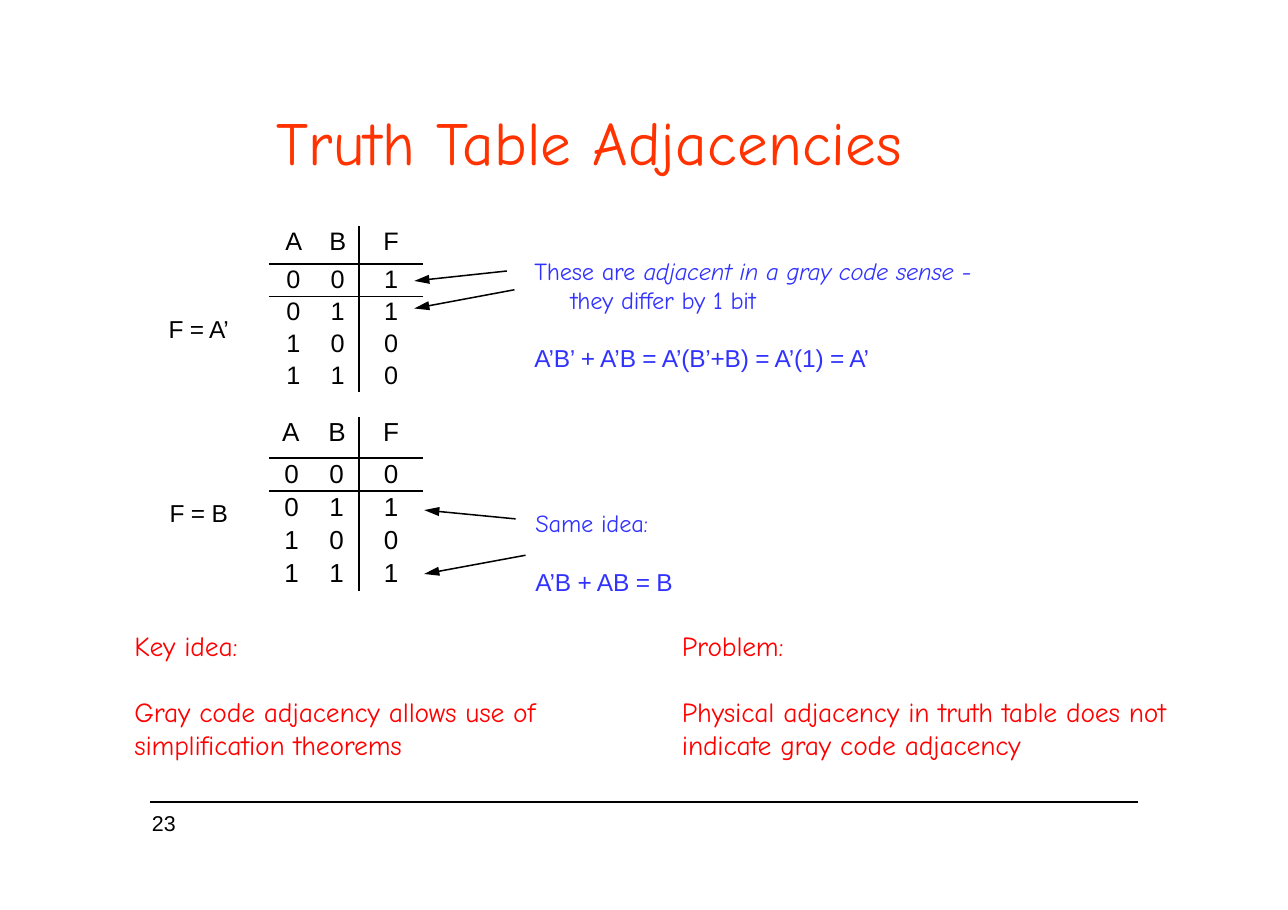
from lxml import etree
from pptx import Presentation
from pptx.dml.color import RGBColor
from pptx.enum.shapes import MSO_CONNECTOR
from pptx.enum.text import MSO_ANCHOR, PP_ALIGN
from pptx.oxml.ns import qn
from pptx.util import Inches, Pt

COLORS = {"title": "FF3200", "note": "3232FF", "key": "FF0000", "ink": "000000"}
SANS, HAND = "Arial", "Comic Neue"

# Content
TITLE = "Truth Table Adjacencies"
HEADER = ["A", "B", "F"]
INPUTS = ["00", "01", "10", "11"]
# outputs, text size, line spacing (header, body), indents (header, body), header rule widths
TRUTH_TABLES = [
    ("1100", 16.5, (19.8, 19.35), ((0.15, 0.13), (0.16, 0.14)), (1.5, 0.75)),
    ("0101", 17, (None, 20.1), ((0.12, 0.12), (0.14, 0.13)), (1.5, 1.5)),
]
COL_WIDTHS = [0.42, 0.4, 0.58]
ROW_HEIGHTS = [0.35] + [0.29] * 4 + [0.23, 0.37] + [0.3] * 3 + [0.31]

SMALL = {"size": 16, "spc": -0.1, "top": 0.02}
NOTE = dict(SMALL, color="note")
KEY = {"size": 18, "spc": -0.1, "top": 0.02, "font": HAND, "color": "key", "gap": 21.7}
# box (left, top, width, height), paragraphs as lists of (text, italic), format
TEXTS = [
    ((1.52, 2.83, 0.8, 0.29), [[("F = A’", False)]], SMALL),
    ((1.53, 4.5, 0.8, 0.29), [[("F = B", False)]], SMALL),
    ((4.84, 2.28, 4.5, 0.57),
     [[("These are ", False), ("adjacent in a gray code sense -", True)],
      [("they differ by 1 bit", False)]],
     dict(NOTE, font=HAND, line=19.4, top=0.04, indent=0.33)),
    ((4.84, 3.09, 3.5, 0.29), [[("A’B’ + A’B = A’(B’+B) = A’(1) = A’", False)]], NOTE),
    ((4.85, 4.59, 1.4, 0.29), [[("Same idea:", False)]], dict(NOTE, font=HAND)),
    ((4.85, 5.13, 1.6, 0.29), [[("A’B + AB = B", False)]], NOTE),
    ((1.21, 5.69, 3.99, 1.23),
     [[("Key idea:", False)],
      [("Gray code adjacency allows use of simplification theorems", False)]], KEY),
    ((6.18, 5.69, 4.45, 1.23),
     [[("Problem:", False)],
      [("Physical adjacency in truth table does not indicate gray code adjacency", False)]],
     KEY),
    ((1.35, 7.36, 0.4, 0.25), [[("23", False)]], {"size": 14, "line": 16.5, "left": 0.03}),
]
ARROWS = [
    (4.6, 2.46, 3.76, 2.55), (4.67, 2.63, 3.76, 2.8),
    (4.68, 4.71, 3.85, 4.63), (4.77, 5.04, 3.85, 5.21),
]
FOOT_RULE = (1.36, 7.28, 10.33, 7.28)


def style_run(r, size, font=SANS, color="ink", spc=0, italic=False):
    for name, value in {"size": Pt(size), "name": font, "italic": italic}.items():
        setattr(r.font, name, value)
    r.font.color.rgb = RGBColor.from_string(COLORS[color])
    if spc:
        r.font._element.set("spc", str(round(spc * 100)))


def set_frame(tf, left=0.01, top=0.02):
    frame = {"margin_left": Inches(left), "margin_top": Inches(top), "margin_right": 0,
             "margin_bottom": 0, "word_wrap": True, "vertical_anchor": MSO_ANCHOR.TOP}
    for name, value in frame.items():
        setattr(tf, name, value)


def add_text(s, box, paragraphs, fmt):
    tf = s.shapes.add_textbox(*map(Inches, box)).text_frame
    set_frame(tf, fmt.get("left", 0.01), fmt["top"] if "top" in fmt else 0)
    run_fmt = {k: fmt[k] for k in ("size", "font", "color", "spc") if k in fmt}
    for i, runs in enumerate(paragraphs):
        p = tf.add_paragraph() if i else tf.paragraphs[0]
        if "line" in fmt:
            p.line_spacing = Pt(fmt["line"])
        if i and "gap" in fmt:
            p.space_before = Pt(fmt["gap"])
        if i and "indent" in fmt:
            p._p.get_or_add_pPr().set("marL", str(Inches(fmt["indent"])))
        for text, italic in runs:
            r = p.add_run()
            r.text = text
            style_run(r, italic=italic, **run_fmt)


def add_line(s, ends, width, arrow=False):
    line = s.shapes.add_connector(MSO_CONNECTOR.STRAIGHT, *map(Inches, ends))
    line.line.width = Pt(width)
    line.line.color.rgb = RGBColor.from_string(COLORS["ink"])
    if arrow:
        etree.SubElement(line.line._get_or_add_ln(), qn("a:tailEnd"),
                         type="triangle", w="med", len="lg")
    etree.SubElement(line._element.spPr, qn("a:effectLst"))


def add_border(cell, side, width):
    ln = etree.Element(qn("a:" + side), w=str(Pt(width)))
    fill = etree.SubElement(ln, qn("a:solidFill"))
    etree.SubElement(fill, qn("a:srgbClr"), val=COLORS["ink"])
    tcPr = cell._tc.get_or_add_tcPr()
    tcPr.insert(len(tcPr.findall(qn("a:lnR"))), ln)


def fill_truth_table(tbl, first_row, outputs, size, spacing, indents, rules):
    rows = [HEADER] + [list(pair + out) for pair, out in zip(INPUTS, outputs)]
    for i, values in enumerate(rows):
        body = int(i > 0)
        for j, value in enumerate(values):
            cell = tbl.cell(first_row + i, j)
            p = cell.text_frame.paragraphs[0]
            if spacing[body]:
                p.line_spacing = Pt(spacing[body])
            if j < 2:
                p._p.get_or_add_pPr().set("marL", str(Inches(indents[body][j])))
            else:
                p.alignment = PP_ALIGN.CENTER
            r = p.add_run()
            r.text = value
            style_run(r, size)
            if j == 1:
                add_border(cell, "lnR", 1.5)
            if i < len(rules):
                add_border(cell, "lnB", rules[i])


prs = Presentation()
prs.slide_width, prs.slide_height = Inches(11.69), Inches(8.26)
s = prs.slides.add_slide(prs.slide_layouts[5])

# Title
title = s.shapes.title
title.left, title.top, title.width, title.height = map(Inches, (2.5, 0.93, 6.7, 0.69))
set_frame(title.text_frame)
p = title.text_frame.paragraphs[0]
p.alignment = PP_ALIGN.LEFT
r = p.add_run()
r.text = TITLE
style_run(r, 40, HAND, "title", 0.2)

# Truth tables, stacked in one grid with an empty row between them
frame = s.shapes.add_table(len(ROW_HEIGHTS), len(COL_WIDTHS), Inches(2.44), Inches(2.05),
                           Inches(sum(COL_WIDTHS)), Inches(sum(ROW_HEIGHTS)))
tbl = frame.table
tbl.first_row = tbl.horz_banding = False
tbl._tbl.tblPr.find(qn("a:tableStyleId")).text = "{2D5ABB26-0587-4C30-8999-92F81FD0307C}"
for col, width in zip(tbl.columns, COL_WIDTHS):
    col.width = Inches(width)
for row, height in zip(tbl.rows, ROW_HEIGHTS):
    row.height = Inches(height)
for cell in tbl.iter_cells():
    cell.margin_left = cell.margin_right = cell.margin_top = cell.margin_bottom = 0
    cell.fill.background()
for n, table in enumerate(TRUTH_TABLES):
    fill_truth_table(tbl, n * 6, *table)
for cell in tbl.rows[5].cells:
    etree.SubElement(cell.text_frame.paragraphs[0]._p, qn("a:endParaRPr"), sz="1000")

# Labels, notes and page number
for text in TEXTS:
    add_text(s, *text)

# Arrows and footer rule
for ends in ARROWS:
    add_line(s, ends, 1, arrow=True)
add_line(s, FOOT_RULE, 0.75)

prs.save("out.pptx")
